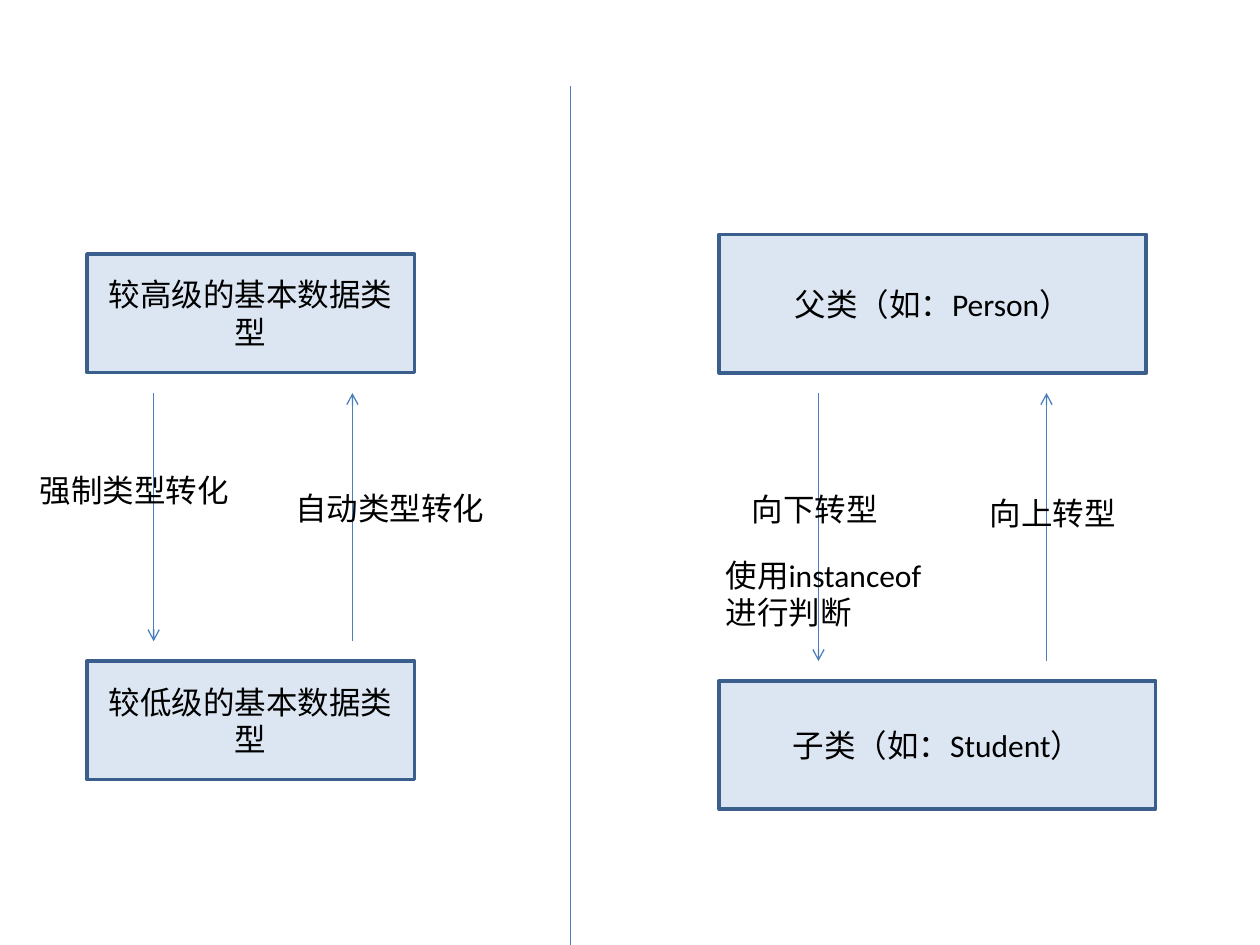
from dataclasses import dataclass

from lxml.etree import SubElement
from pptx import Presentation
from pptx.dml.color import RGBColor
from pptx.enum.shapes import MSO_CONNECTOR, MSO_SHAPE
from pptx.enum.text import MSO_ANCHOR, MSO_AUTO_SIZE, PP_ALIGN
from pptx.oxml.ns import qn
from pptx.util import Pt


@dataclass(frozen=True)
class Theme:
    background: RGBColor = RGBColor(0xFF, 0xFF, 0xFF)
    box_fill: RGBColor = RGBColor(0xDC, 0xE6, 0xF2)
    box_line: RGBColor = RGBColor(0x3A, 0x5F, 0x8C)
    arrow: RGBColor = RGBColor(0x4B, 0x7E, 0xBC)
    text: RGBColor = RGBColor(0, 0, 0)
    font: str = "Calibri"
    size: int = 18


THEME = Theme()
ARROW_TOP = 224.6


def write_text(frame, text, align=PP_ALIGN.LEFT, anchor=MSO_ANCHOR.TOP):
    frame.word_wrap = True
    frame.vertical_anchor = anchor
    para = frame.paragraphs[0]
    para.alignment = align
    span = para.add_run()
    span.text = text
    span.font.name = THEME.font
    span.font.size = Pt(THEME.size)
    span.font.color.rgb = THEME.text


def add_type_box(page, text, left, top, width, height):
    box = page.shapes.add_shape(
        MSO_SHAPE.RECTANGLE, Pt(left), Pt(top), Pt(width), Pt(height))
    box.shadow.inherit = False
    box.fill.solid()
    box.fill.fore_color.rgb = THEME.box_fill
    box.line.color.rgb = THEME.box_line
    box.line.width = Pt(2)
    write_text(box.text_frame, text, align=PP_ALIGN.CENTER, anchor=MSO_ANCHOR.MIDDLE)


def add_label(page, text, left, top, width=124.6, height=29):
    label = page.shapes.add_textbox(Pt(left), Pt(top), Pt(width), Pt(height))
    write_text(label.text_frame, text)
    label.text_frame.auto_size = MSO_AUTO_SIZE.SHAPE_TO_FIT_TEXT


def add_vertical_line(page, x, start, end, arrow=True):
    """Draw a line from start to end, with any arrowhead at the end."""
    line = page.shapes.add_connector(
        MSO_CONNECTOR.STRAIGHT, Pt(x), Pt(start), Pt(x), Pt(end))
    line.line.color.rgb = THEME.arrow
    line.line.width = Pt(0.75)
    if arrow:
        SubElement(line.line._get_or_add_ln(), qn("a:tailEnd"), type="arrow")
    SubElement(line._element.spPr, qn("a:effectLst"))


def add_conversion_arrows(page, down_x, up_x, bottom):
    add_vertical_line(page, down_x, ARROW_TOP, bottom)
    add_vertical_line(page, up_x, bottom, ARROW_TOP)


def add_basic_types(page):
    add_type_box(page, "较高级的基本数据类型", 49.7, 145.2, 187.2, 67.7)
    add_type_box(page, "较低级的基本数据类型", 49.7, 377.8, 187.2, 67.7)
    add_conversion_arrows(page, down_x=87.8, up_x=201.4, bottom=366.5)
    add_label(page, "自动类型转化", 161.6, 275.8)
    add_label(page, "强制类型转化", 15.6, 265.7, width=143.3)


def add_class_types(page):
    add_type_box(page, "父类（如：Person）", 411, 133.9, 244, 79.2)
    add_type_box(page, "子类（如：Student）", 411, 389, 249.4, 73.4)
    add_conversion_arrows(page, down_x=467.7, up_x=598, bottom=377.8)
    add_label(page, "向上转型", 558.4, 278.6)
    add_label(page, "向下转型", 422.4, 276.5)
    add_label(page, "使用instanceof进行判断", 407.5, 313.9, width=132, height=51)


def main():
    deck = Presentation()
    deck.slide_width, deck.slide_height = Pt(720), Pt(540)
    page = deck.slides.add_slide(deck.slide_layouts[6])
    page.background.fill.solid()
    page.background.fill.fore_color.rgb = THEME.background

    add_basic_types(page)
    add_vertical_line(page, 326.2, 49, 540, arrow=False)
    add_class_types(page)
    deck.save("out.pptx")


if __name__ == "__main__":
    main()
